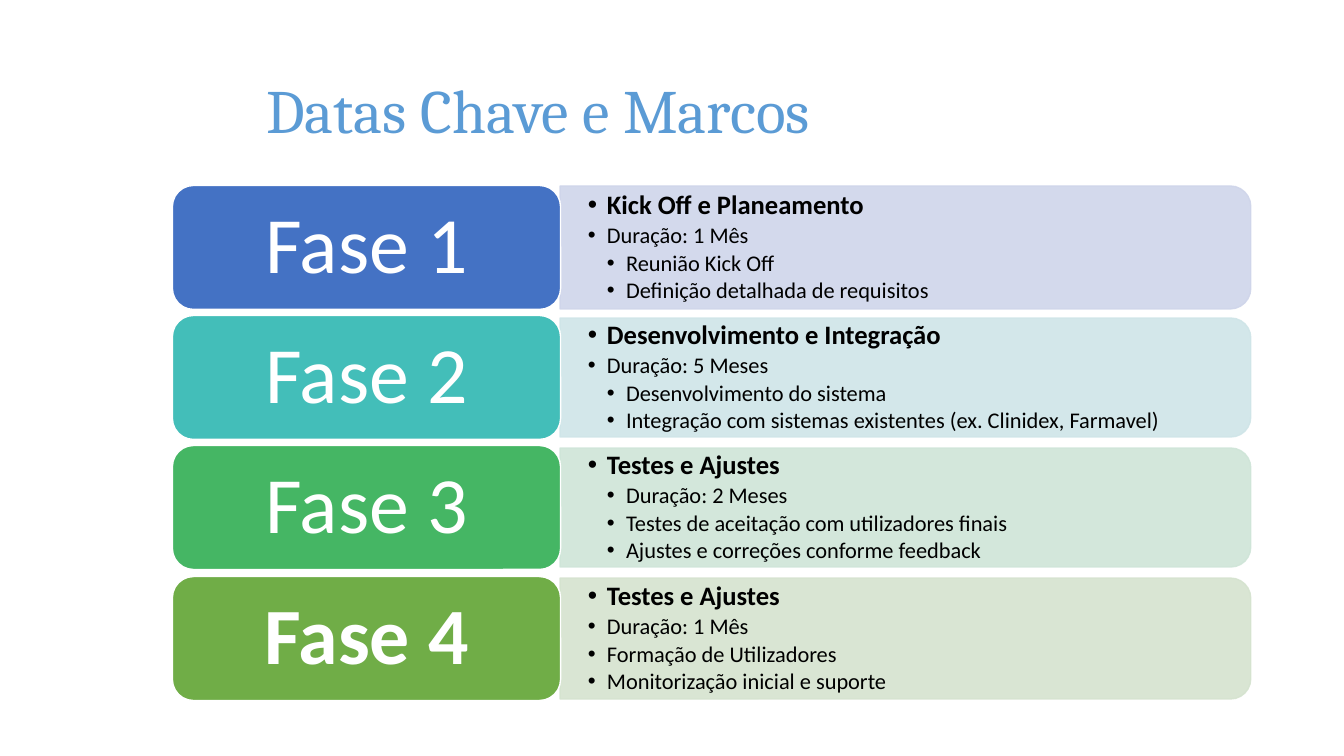
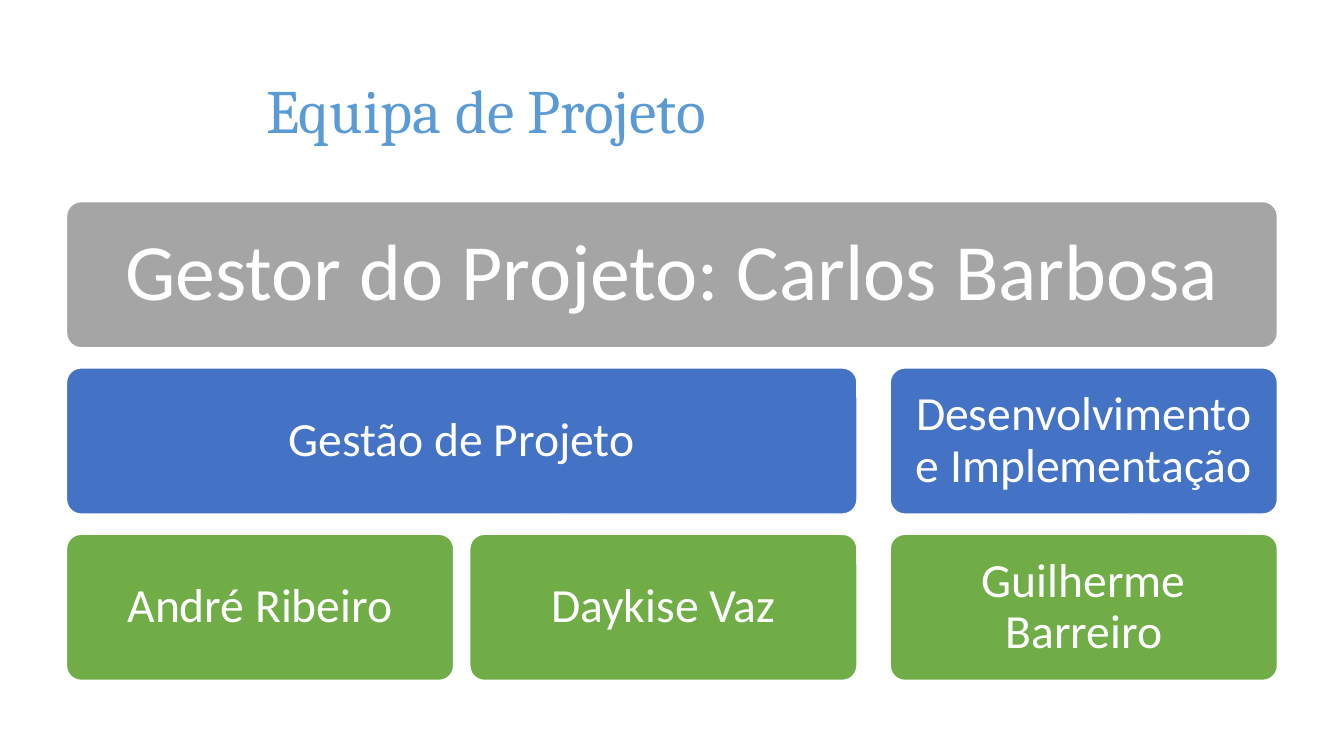
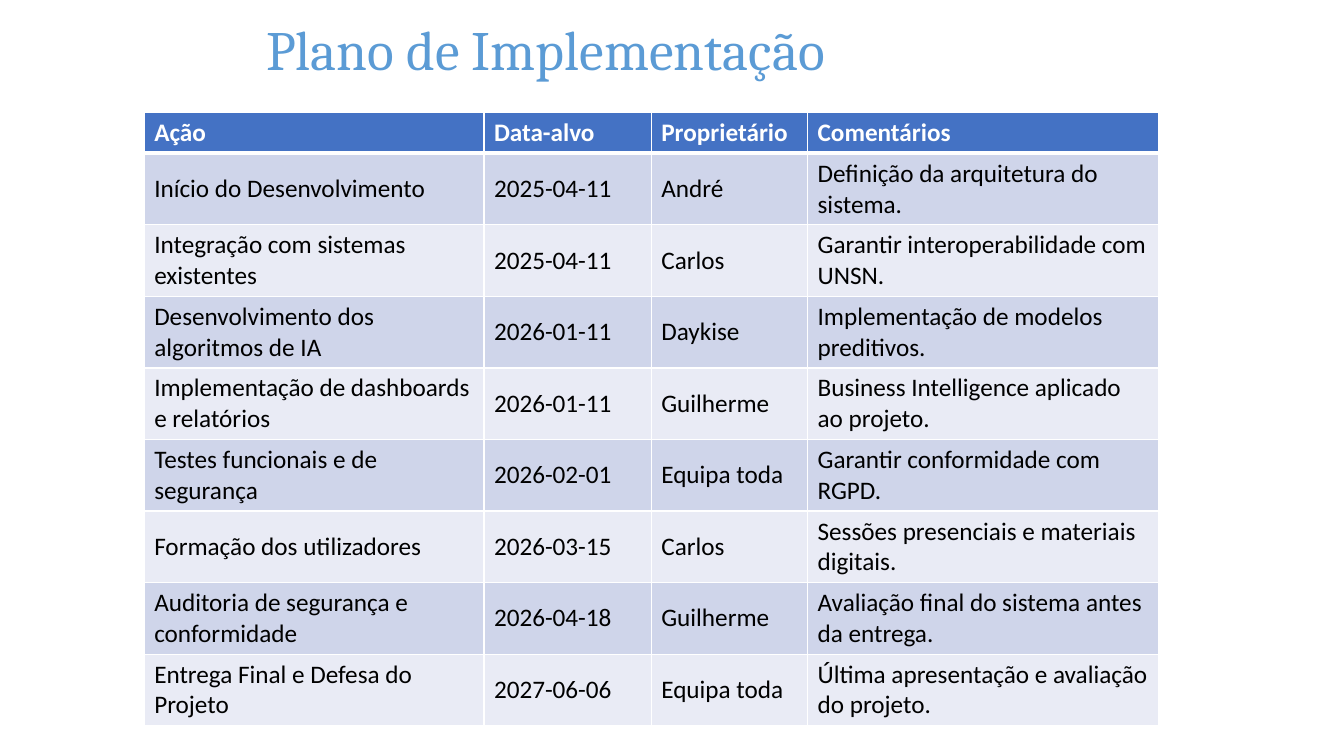
from lxml.etree import SubElement
from pptx import Presentation
from pptx.dml.color import RGBColor
from pptx.enum.shapes import MSO_SHAPE as Shape
from pptx.enum.text import MSO_ANCHOR as Anchor, PP_ALIGN as Align
from pptx.oxml.ns import qn
from pptx.util import Pt

PX = 9144
SLIDE_W, SLIDE_H = 1333, 750
HEADING_FONT, BODY_FONT = "Cambria", "Calibri"

WHITE = RGBColor(0xFF, 0xFF, 0xFF)
BLACK = RGBColor(0x00, 0x00, 0x00)
SKY = RGBColor(0x5B, 0x9B, 0xD5)
BLUE = RGBColor(0x44, 0x72, 0xC4)
TEAL = RGBColor(0x43, 0xBE, 0xB9)
EMERALD = RGBColor(0x45, 0xB6, 0x64)
GREEN = RGBColor(0x70, 0xAD, 0x47)
GREY = RGBColor(0xA5, 0xA5, 0xA5)
PALE_BLUE = RGBColor(0xCF, 0xD5, 0xEA)
PALE_TEAL = RGBColor(0xCF, 0xE5, 0xE8)
PALE_EMERALD = RGBColor(0xCF, 0xE5, 0xD8)
PALE_GREEN = RGBColor(0xD5, 0xE3, 0xCF)
PALE_GREY = RGBColor(0xE9, 0xEB, 0xF5)

PHASES = [
    ("Fase 1", False, BLUE, PALE_BLUE, 122, "Kick Off e Planeamento", [
        (1, "Duração: 1 Mês"),
        (2, "Reunião Kick Off"),
        (2, "Definição detalhada de requisitos"),
    ]),
    ("Fase 2", False, TEAL, PALE_TEAL, 118, "Desenvolvimento e Integração", [
        (1, "Duração: 5 Meses"),
        (2, "Desenvolvimento do sistema"),
        (2, "Integração com sistemas existentes (ex. Clinidex, Farmavel)"),
    ]),
    ("Fase 3", False, EMERALD, PALE_EMERALD, 118, "Testes e Ajustes", [
        (2, "Duração: 2 Meses"),
        (2, "Testes de aceitação com utilizadores finais"),
        (2, "Ajustes e correções conforme feedback"),
    ]),
    ("Fase 4", True, GREEN, PALE_GREEN, 120, "Testes e Ajustes", [
        (1, "Duração: 1 Mês"),
        (1, "Formação de Utilizadores"),
        (1, "Monitorização inicial e suporte"),
    ]),
]

TEAM_COLUMNS = [66, 466, 883]
TEAM = [
    ("Gestor do Projeto: Carlos Barbosa", 0, 0, 2, GREY, 57),
    ("Gestão de Projeto", 1, 0, 1, BLUE, 34),
    ("Desenvolvimento e Implementação", 1, 2, 2, BLUE, 34),
    ("André Ribeiro", 2, 0, 0, GREEN, 34),
    ("Daykise Vaz", 2, 1, 1, GREEN, 34),
    ("Guilherme Barreiro", 2, 2, 2, GREEN, 34),
]

PLAN_WIDTHS = [337, 166, 155, 348]
PLAN = [
    ("Ação", "Data-alvo", "Proprietário", "Comentários"),
    ("Início do Desenvolvimento", "2025-04-11", "André",
     "Definição da arquitetura do sistema."),
    ("Integração com sistemas existentes", "2025-04-11", "Carlos",
     "Garantir interoperabilidade com UNSN."),
    ("Desenvolvimento dos algoritmos de IA", "2026-01-11", "Daykise",
     "Implementação de modelos preditivos."),
    ("Implementação de dashboards e relatórios", "2026-01-11", "Guilherme",
     "Business Intelligence aplicado ao projeto."),
    ("Testes funcionais e de segurança", "2026-02-01", "Equipa toda",
     "Garantir conformidade com RGPD."),
    ("Formação dos utilizadores", "2026-03-15", "Carlos",
     "Sessões presenciais e materiais digitais."),
    ("Auditoria de segurança e conformidade", "2026-04-18", "Guilherme",
     "Avaliação final do sistema antes da entrega."),
    ("Entrega Final e Defesa do Projeto", "2027-06-06", "Equipa toda",
     "Última apresentação e avaliação do projeto."),
]


def px(*lengths):
    return [length * PX for length in lengths]


def write(paragraph, text, size, color, bold=False, font=BODY_FONT):
    run = paragraph.add_run()
    run.text = text
    run.font.size = Pt(size)
    run.font.name = font
    run.font.bold = bold
    run.font.color.rgb = color


def prepare(frame, side, ends):
    frame.word_wrap = True
    frame.vertical_anchor = Anchor.MIDDLE
    frame.margin_left = frame.margin_right = side * PX
    frame.margin_top = frame.margin_bottom = ends * PX
    return frame


def text_area(slide, box, side, ends):
    return prepare(slide.shapes.add_textbox(*px(*box)).text_frame, side, ends)


def new_slide(deck, title, top=40, height=145, size=44):
    slide = deck.slides.add_slide(deck.slide_layouts[6])
    heading = text_area(slide, (254, top, 988, height), 10, 5).paragraphs[0]
    heading.line_spacing = 0.9
    write(heading, title, size, SKY, font=HEADING_FONT)
    return slide


def block(slide, kind, box, fill, line):
    shape = slide.shapes.add_shape(kind, *px(*box))
    shape.shadow.inherit = False
    shape.fill.solid()
    shape.fill.fore_color.rgb = fill
    shape.line.color.rgb = line
    shape.line.width = Pt(1)
    return shape


def card(slide, box, fill, text, size, bold=False, corner=0.17):
    shape = block(slide, Shape.ROUNDED_RECTANGLE, box, fill, WHITE)
    shape.adjustments[0] = corner
    label = prepare(shape.text_frame, 18, 10).paragraphs[0]
    label.alignment = Align.CENTER
    label.line_spacing = 0.9
    write(label, text, size, WHITE, bold)


def panel(slide, left, middle, width, height, color):
    box = (left + (width - height) // 2, middle - width // 2, height, width)
    shape = block(slide, Shape.ROUND_2_SAME_RECTANGLE, box, color, color)
    shape.rotation = 90
    for tint in shape.element.spPr.iter(qn("a:srgbClr")):
        SubElement(tint, qn("a:alpha"), val="90000")


def bullet(paragraph, level, text, size, bold=False):
    paragraph.line_spacing = 0.9
    paragraph.space_after = Pt(round(size * 0.15, 1))
    props = paragraph._p.get_or_add_pPr()
    props.set("marL", str(19 * level * PX))
    props.set("indent", str(-19 * PX))
    SubElement(props, qn("a:buFont"), typeface="Arial")
    SubElement(props, qn("a:buChar"), char="•")
    write(paragraph, text, size, BLACK, bold)


def phases_slide(deck):
    slide = new_slide(deck, "Datas Chave e Marcos")
    for i, (phase, bold, color, pale, height, goal, tasks) in enumerate(PHASES):
        top = 184 + 388 * i // 3
        middle = top + 61
        panel(slide, 556, middle, 685, height, pale)
        card(slide, (171, top, 385, 123), color, phase, 57, bold)
        details = text_area(slide, (556, middle - 61, 680, 123), 27, 0)
        bullet(details.paragraphs[0], 1, goal, 19, True)
        for level, task in tasks:
            bullet(details.add_paragraph(), level, task, 16)


def team_slide(deck):
    slide = new_slide(deck, "Equipa de Projeto")
    for text, row, first, last, color, size in TEAM:
        left = TEAM_COLUMNS[first]
        width = TEAM_COLUMNS[last] + 384 - left
        card(slide, (left, 200 + 165 * row, width, 145), color, text, size,
             corner=0.1)


def border(cell, side, width):
    line = SubElement(cell._tc.get_or_add_tcPr(), qn("a:ln" + side),
                      w=str(Pt(width)))
    SubElement(SubElement(line, qn("a:solidFill")), qn("a:srgbClr"),
               val=str(WHITE))


def plan_slide(deck):
    slide = new_slide(deck, "Plano de Implementação", 12, 80, 39.6)
    heights = [40] + [71] * (len(PLAN) - 1)
    table = slide.shapes.add_table(
        len(PLAN), len(PLAN_WIDTHS),
        *px(143, 112, sum(PLAN_WIDTHS), sum(heights))).table
    for column, width in zip(table.columns, PLAN_WIDTHS):
        column.width = width * PX
    for r, (entries, height) in enumerate(zip(PLAN, heights)):
        table.rows[r].height = height * PX
        header = r == 0
        for c, entry in enumerate(entries):
            cell = table.cell(r, c)
            for side in "LRTB":
                thick = (r, side) in ((0, "B"), (1, "T"))
                border(cell, side, 3 if thick else 1)
            cell.fill.solid()
            cell.fill.fore_color.rgb = (
                BLUE if header else PALE_BLUE if r % 2 else PALE_GREY)
            cell.vertical_anchor = Anchor.TOP if header else Anchor.MIDDLE
            write(cell.text_frame.paragraphs[0], entry, 18,
                  WHITE if header else BLACK, header)


def main():
    deck = Presentation()
    deck.slide_width, deck.slide_height = px(SLIDE_W, SLIDE_H)
    phases_slide(deck)
    team_slide(deck)
    plan_slide(deck)
    deck.save("out.pptx")


if __name__ == "__main__":
    main()
